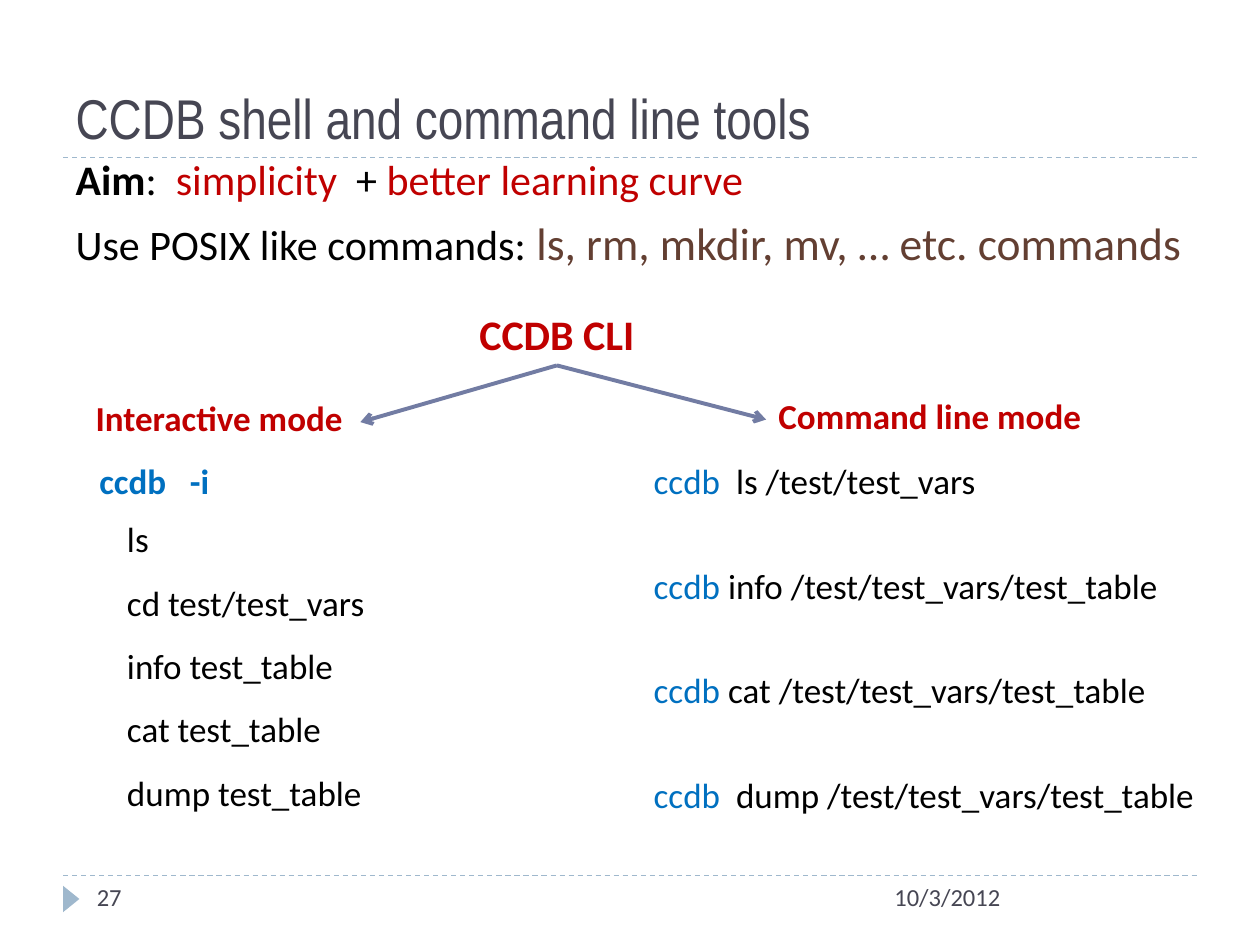
from lxml.etree import SubElement
from pptx import Presentation
from pptx.dml.color import RGBColor
from pptx.enum.dml import MSO_LINE_DASH_STYLE as Dash
from pptx.enum.shapes import MSO_CONNECTOR as Connector, MSO_SHAPE as Shape
from pptx.enum.text import MSO_ANCHOR as Anchor, MSO_AUTO_SIZE as AutoSize, PP_ALIGN as Align
from pptx.oxml.ns import qn
from pptx.util import Inches, Pt

WIDTH, HEIGHT = Inches(10), Inches(7.5)
COLUMN, ROW = WIDTH // 100, HEIGHT // 75
BLACK = RGBColor(0x00, 0x00, 0x00)
SLATE = RGBColor(0x46, 0x46, 0x53)
RED = RGBColor(0xC0, 0x00, 0x00)
BLUE = RGBColor(0x00, 0x70, 0xC0)
BROWN = RGBColor(0x63, 0x3F, 0x32)
PALE_BLUE = RGBColor(0x9F, 0xB8, 0xCD)
ARROW_BLUE = RGBColor(0x72, 0x7C, 0xA3)


def grid(*lengths):
    """Turn alternating columns and rows into slide lengths."""
    return [round(length * (ROW if index % 2 else COLUMN)) for index, length in enumerate(lengths)]


def place(shape, box):
    """Move a shape to a box of the grid."""
    shape.left, shape.top, shape.width, shape.height = grid(*box)


def write(paragraph, parts, size, bold=None, font="Calibri"):
    """Fill a paragraph with coloured runs in one font."""
    for text, color in parts:
        run = paragraph.add_run()
        run.text = text
        run.font.color.rgb = color
    paragraph.font.name, paragraph.font.size, paragraph.font.bold = font, Pt(size), bold


def add_label(slide, box, parts, size=20, bold=None, align=Align.LEFT, wrap=True):
    """Add a one-paragraph text box."""
    frame = slide.shapes.add_textbox(*grid(*box)).text_frame
    frame.word_wrap = wrap
    frame.paragraphs[0].alignment = align
    write(frame.paragraphs[0], parts, size, bold)


def add_line(slide, start, end, color, width):
    """Add a straight line without shadow and return it."""
    line = slide.shapes.add_connector(Connector.STRAIGHT, *grid(*start, *end))
    line.line.color.rgb, line.line.width = color, Pt(width)
    SubElement(line._element.spPr, qn("a:effectLst"))
    return line


def add_rule(slide, row):
    """Add a dashed rule across the slide."""
    add_line(slide, (5, row), (95, row), PALE_BLUE, 0.75).line.dash_style = Dash.DASH


def add_arrow(slide, start, end):
    """Add a line with an open arrowhead at its end."""
    arrow = add_line(slide, start, end, ARROW_BLUE, 2.25)
    SubElement(arrow.line._get_or_add_ln(), qn("a:tailEnd"), type="arrow")


def add_title(slide, box):
    """Fill the title placeholder."""
    title = slide.shapes.title
    place(title, box)
    frame = title.text_frame
    frame.vertical_anchor, frame.auto_size = Anchor.BOTTOM, AutoSize.NONE
    frame.paragraphs[0].alignment = Align.LEFT
    write(frame.paragraphs[0], [("CCDB shell and command line tools", SLATE)], 32, font="Arial Narrow")


def add_aims(slide, box):
    """Fill the body placeholder with two unbulleted lines."""
    body = slide.placeholders[1]
    place(body, box)
    frame = body.text_frame
    frame.auto_size = AutoSize.NONE
    lines = (
        [("Aim", BLACK), (":  ", BLACK), ("simplicity  ", RED), ("+", BLACK), (" better learning curve", RED)],
        [("Use POSIX like commands:", BLACK), (" ", BLACK), ("ls, rm, mkdir, mv, … etc. commands", BROWN)],
    )
    aim, commands = frame.paragraphs[0], frame.add_paragraph()
    for paragraph, parts in zip((aim, commands), lines):
        properties = paragraph._p.get_or_add_pPr()
        properties.set("marL", "0")
        properties.set("indent", "0")
        SubElement(properties, qn("a:buNone"))
        write(paragraph, parts, 24)
    aim.space_before, commands.space_before = Pt(0), Pt(6)
    aim.runs[0].font.bold = True
    for run in commands.runs[1:]:
        run.font.size = Pt(26)


def add_modes(slide, box):
    """Add the heading that branches into two modes."""
    left, top, width, height = box
    add_label(slide, box, [("CCDB CLI", RED)], 24, True, Align.CENTER)
    fork = left + width / 2, top + height
    add_arrow(slide, fork, (28.6, top + 9.5))
    add_arrow(slide, fork, (60.8, top + 9.3))
    add_label(slide, (6.6, top + 7, 22.1, 5), [("Interactive mode", RED)], bold=True)
    add_label(slide, (60.8, top + 6.8, 30, 5), [("Command line mode", RED)], bold=True)


def add_interactive(slide, box):
    """List the commands of an interactive session."""
    left, top, width, height = box
    add_label(slide, (left, top, width, height), [("ccdb   -i", BLUE)], bold=True, wrap=False)
    commands = ("ls", "cd test/test_vars", "info test_table", "cat test_table", "dump test_table")
    for index, command in enumerate(commands):
        row = top + 4.6 + 5.03 * index
        add_label(slide, (left + 2.2, row, width, height), [(command, BLACK)], wrap=False)


def add_command_line(slide, box):
    """List the single shell commands."""
    left, top, width, height = box
    commands = (
        ("ccdb  ", "ls /test/test_vars"),
        ("ccdb ", "info /test/test_vars/test_table"),
        ("ccdb ", "cat /test/test_vars/test_table"),
        ("ccdb  ", "dump /test/test_vars/test_table"),
    )
    for index, (program, arguments) in enumerate(commands):
        row = top + 8.3 * index
        add_label(slide, (left, row, width, height), [(program, BLUE), (arguments, BLACK)], wrap=False)


def add_footer(slide, box):
    """Add the rule, marker, slide number and date."""
    left, top, width, height = box
    add_rule(slide, top)
    marker = slide.shapes.add_shape(Shape.ISOSCELES_TRIANGLE, *grid(left - 0.4, top + 1.2, 2.1, 1.3))
    marker.rotation = 90
    marker.shadow.inherit = False
    marker.fill.solid()
    marker.fill.fore_color.rgb = PALE_BLUE
    marker.line.fill.background()
    add_label(slide, (left + 1.7, top, 21.7, height), [("27", SLATE)], 14)
    add_label(slide, (left + width - 25, top, 25, height), [("10/3/2012", SLATE)], 14)


def main():
    """Build and save the slide."""
    presentation = Presentation()
    presentation.slide_width, presentation.slide_height = WIDTH, HEIGHT
    slide = presentation.slides.add_slide(presentation.slide_layouts[1])
    add_rule(slide, 12.5)
    add_title(slide, (5, 1.7, 90, 10.8))
    add_aims(slide, (5, 11.7, 90, 14.2))
    add_modes(slide, (20, 24, 48.4, 5))
    add_interactive(slide, (6.9, 36, 21.7, 4.4))
    add_command_line(slide, (50.9, 36, 46, 4.4))
    add_footer(slide, (5, 69.5, 90, 4))
    presentation.save("out.pptx")


if __name__ == "__main__":
    main()
